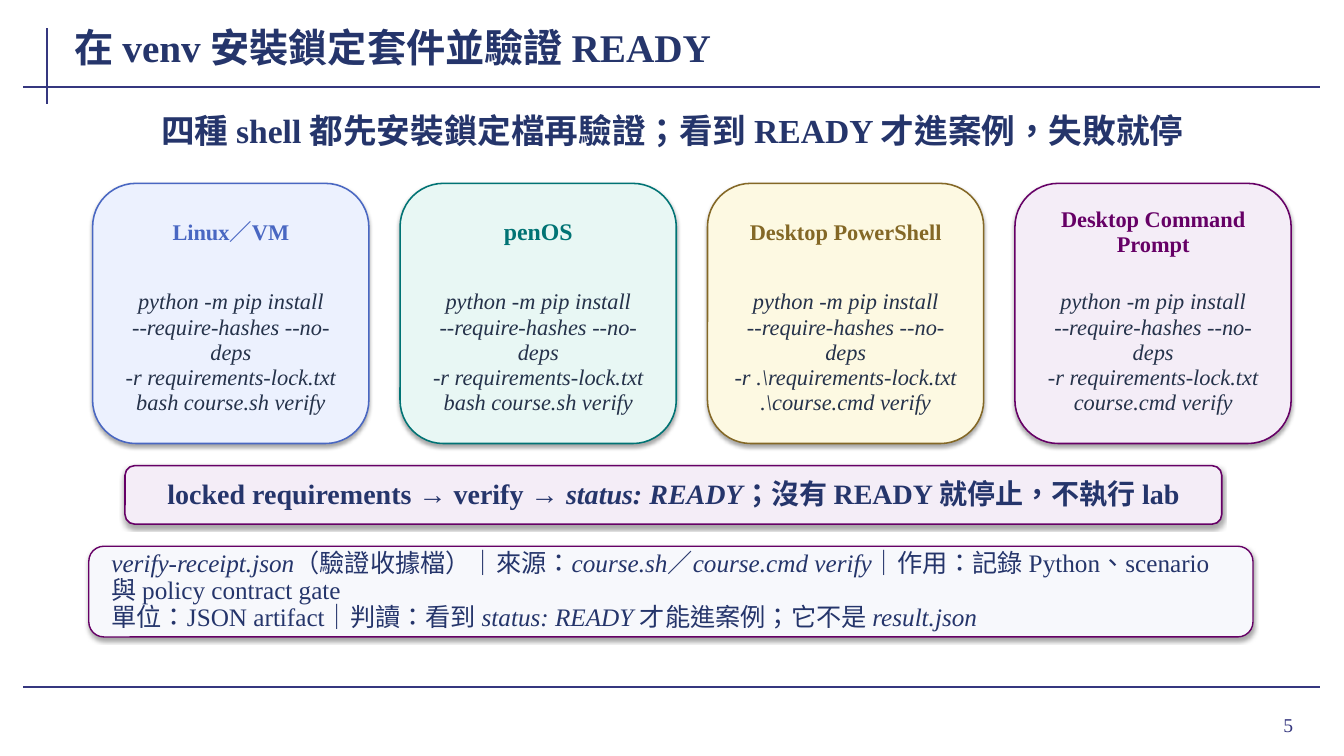
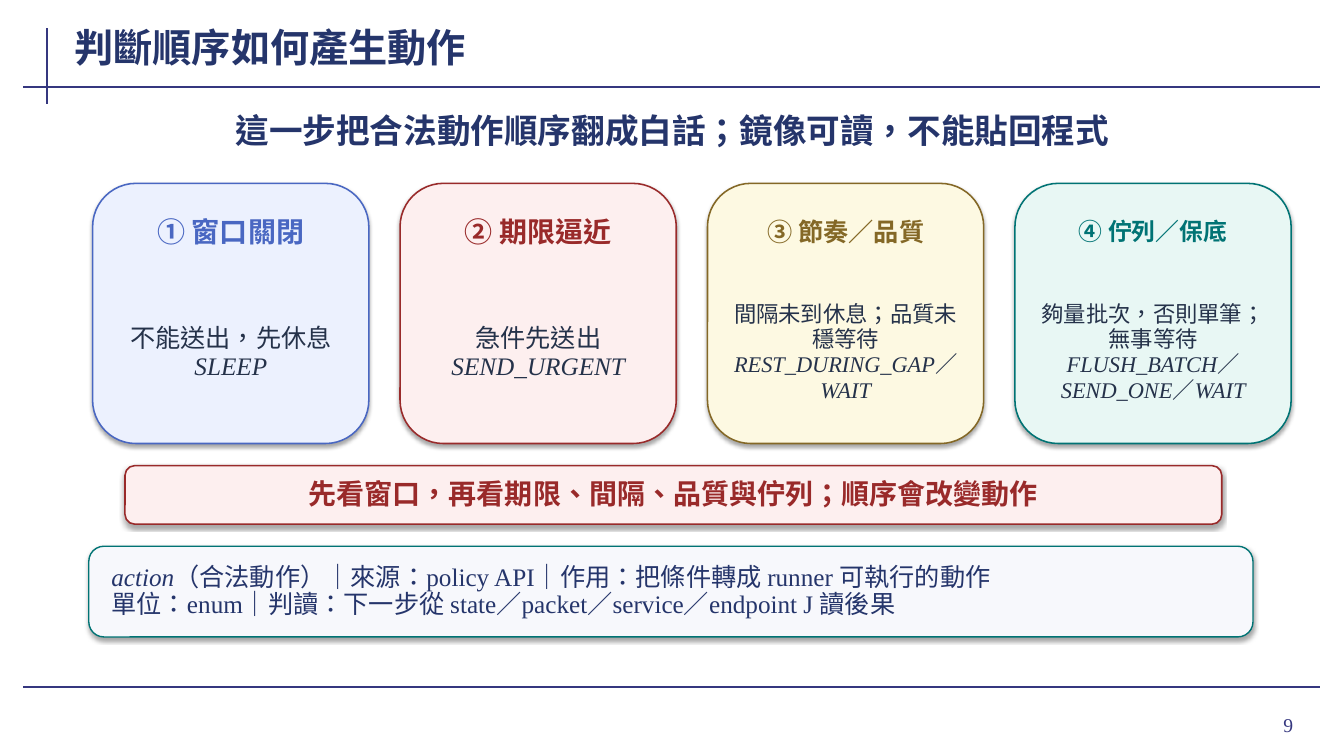
from dataclasses import dataclass
from typing import NamedTuple

from lxml.etree import SubElement
from pptx import Presentation
from pptx.dml.color import RGBColor
from pptx.enum.lang import MSO_LANGUAGE_ID
from pptx.enum.shapes import MSO_CONNECTOR, MSO_SHAPE
from pptx.enum.text import MSO_ANCHOR, PP_ALIGN
from pptx.oxml.ns import qn
from pptx.shapes.autoshape import Shape
from pptx.slide import Slide
from pptx.util import Pt


class Tone(NamedTuple):
    fill: str
    ink: str


class Box(NamedTuple):
    left: float
    top: float
    width: float
    height: float


class TextStyle(NamedTuple):
    size: float
    color: str
    bold: bool = False
    align: PP_ALIGN = PP_ALIGN.CENTER
    spacing: float = 1.0
    inset: tuple[float, float] = (0, 0)


@dataclass(frozen=True)
class Theme:
    font: str = "Times New Roman"
    navy: str = "25356B"
    rule: str = "35377F"
    body: str = "25324A"
    note_fill: str = "F7F8FC"
    blue: Tone = Tone("ECF1FE", "4967C2")
    teal: Tone = Tone("E8F7F4", "007374")
    gold: Tone = Tone("FDF9E2", "846826")
    purple: Tone = Tone("F4EDF7", "660066")
    red: Tone = Tone("FDEFEF", "992A2A")
    title_size: float = 28
    lead_size: float = 24
    summary_size: float = 20
    note_size: float = 18
    number_size: float = 14


THEME = Theme()

SLIDE_WIDTH, SLIDE_HEIGHT = 960, 540
RULES = [(33.8, 20.2, 33.8, 74.2), (16.6, 61.9, 943.2, 61.9), (16.6, 491, 943.2, 491)]
TITLE = Box(51.8, 14.4, 745.2, 38.2)
LEAD = Box(73.4, 75.6, 813.6, 37.4)
SUMMARY = Box(89.3, 332.6, 783.4, 41.8)
NOTE = Box(63.4, 390.2, 831.6, 64.8)
NUMBER = Box(861.1, 499, 69.8, 37.4)
CARD = Box(66.2, 131, 197.3, 185.8)
CARD_PITCH = 219.6
HEADING = Box(77.8, 145.4, 174.2, 41.8)
DETAIL = Box(79.2, 201.6, 171.4, 100.8)


@dataclass(frozen=True)
class Card:
    heading: str
    heading_size: float
    tone: Tone
    detail: list[str]
    detail_size: float = 16


@dataclass(frozen=True)
class Page:
    number: int
    title: str
    lead: str
    cards: list[Card]
    summary: str
    summary_tone: Tone
    summary_color: str
    note: list[str]
    note_line: str


def write(shape: Shape, lines: list[str], style: TextStyle) -> None:
    """Fill a shape with paragraphs; text between backticks is italic."""
    frame = shape.text_frame
    frame.word_wrap = True
    frame.vertical_anchor = MSO_ANCHOR.MIDDLE
    frame.margin_left = frame.margin_right = Pt(style.inset[0])
    frame.margin_top = frame.margin_bottom = Pt(style.inset[1])
    for index, line in enumerate(lines):
        paragraph = frame.add_paragraph() if index else frame.paragraphs[0]
        paragraph.alignment = style.align
        paragraph.line_spacing = style.spacing
        font = paragraph.font
        font.name = THEME.font
        font.size = Pt(style.size)
        font.bold = style.bold
        font.color.rgb = RGBColor.from_string(style.color)
        font.language_id = MSO_LANGUAGE_ID.TRADITIONAL_CHINESE
        spans = [(text, i % 2 == 1) for i, text in enumerate(line.split("`")) if text]
        mixed = len({italic for _, italic in spans}) > 1
        for text, italic in spans:
            run = paragraph.add_run()
            run.text = text
            (run.font if mixed else font).italic = italic


def add_text(slide: Slide, box: Box, lines: list[str], style: TextStyle) -> None:
    write(slide.shapes.add_textbox(*map(Pt, box)), lines, style)


def add_shadow(shape: Shape) -> None:
    shape.shadow.inherit = False
    effects = shape._element.spPr.find(qn("a:effectLst"))
    shadow = SubElement(effects, qn("a:outerShdw"), blurRad=str(Pt(3.1)),
                        dist=str(Pt(1.8)), dir="5400000", rotWithShape="0")
    black = SubElement(shadow, qn("a:srgbClr"), val="000000")
    SubElement(black, qn("a:alpha"), val="35000")


def add_panel(slide: Slide, box: Box, tone: Tone, line_width: float = 1.1) -> Shape:
    panel = slide.shapes.add_shape(MSO_SHAPE.ROUNDED_RECTANGLE, *map(Pt, box))
    panel.fill.solid()
    panel.fill.fore_color.rgb = RGBColor.from_string(tone.fill)
    panel.line.color.rgb = RGBColor.from_string(tone.ink)
    panel.line.width = Pt(line_width)
    add_shadow(panel)
    return panel


def add_frame(slide: Slide, page: Page) -> None:
    """Draw the rules, page number, title and lead sentence."""
    for ends in RULES:
        rule = slide.shapes.add_connector(MSO_CONNECTOR.STRAIGHT, *map(Pt, ends))
        rule.line.color.rgb = RGBColor.from_string(THEME.rule)
        rule.line.width = Pt(1.5)
        SubElement(rule._element.spPr, qn("a:effectLst"))
    add_text(slide, NUMBER, [str(page.number)],
             TextStyle(THEME.number_size, THEME.rule, align=PP_ALIGN.RIGHT, inset=(7.2, 3.6)))
    add_text(slide, TITLE, [page.title],
             TextStyle(THEME.title_size, THEME.navy, True, PP_ALIGN.LEFT, inset=(1.4, 0)))
    add_text(slide, LEAD, [page.lead],
             TextStyle(THEME.lead_size, THEME.navy, True, spacing=0.96, inset=(1.4, 0)))


def add_card(slide: Slide, card: Card, column: int) -> None:
    frame, heading, detail = (box._replace(left=box.left + column * CARD_PITCH)
                              for box in (CARD, HEADING, DETAIL))
    add_panel(slide, frame, card.tone)
    add_text(slide, heading, [card.heading],
             TextStyle(card.heading_size, card.tone.ink, True, spacing=0.92, inset=(2.2, 0.7)))
    add_text(slide, detail, card.detail,
             TextStyle(card.detail_size, THEME.body, spacing=0.94, inset=(3.6, 0.7)))


def add_page(deck: Presentation, page: Page) -> None:
    slide = deck.slides.add_slide(deck.slide_layouts[6])
    add_frame(slide, page)
    for column, card in enumerate(page.cards):
        add_card(slide, card, column)
    write(add_panel(slide, SUMMARY, page.summary_tone), [page.summary],
          TextStyle(THEME.summary_size, page.summary_color, True, spacing=0.95, inset=(8.6, 2.9)))
    write(add_panel(slide, NOTE, Tone(THEME.note_fill, page.note_line), 1), page.note,
          TextStyle(THEME.note_size, THEME.navy, align=PP_ALIGN.LEFT, spacing=0.9,
                    inset=(13, 2.2)))


def install_steps(verify: str, lock_file: str = "requirements-lock.txt") -> list[str]:
    return ["`python -m pip install`", "`--require-hashes --no-deps`",
            f"`-r {lock_file}`", f"`{verify} verify`"]


PAGES = [
    Page(
        number=5,
        title="在 venv 安裝鎖定套件並驗證 READY",
        lead="四種 shell 都先安裝鎖定檔再驗證；看到 READY 才進案例，失敗就停",
        cards=[
            Card("Linux／VM", 16, THEME.blue, install_steps("bash course.sh")),
            Card("penOS", 17, THEME.teal, install_steps("bash course.sh")),
            Card("Desktop PowerShell", 16, THEME.gold,
                 install_steps(r".\course.cmd", r".\requirements-lock.txt")),
            Card("Desktop Command Prompt", 16, THEME.purple, install_steps("course.cmd")),
        ],
        summary="locked requirements → verify → `status: READY`；沒有 READY 就停止，不執行 lab",
        summary_tone=THEME.purple,
        summary_color=THEME.navy,
        note=[
            "`verify-receipt.json`（驗證收據檔）｜來源：`course.sh`／`course.cmd verify`"
            "｜作用：記錄 Python、scenario 與 policy contract gate",
            "單位：JSON artifact｜判讀：看到 `status: READY` 才能進案例；它不是 `result.json`",
        ],
        note_line=THEME.purple.ink,
    ),
    Page(
        number=9,
        title="判斷順序如何產生動作",
        lead="這一步把合法動作順序翻成白話；鏡像可讀，不能貼回程式",
        cards=[
            Card("① 窗口關閉", 20, THEME.blue, ["不能送出，先休息", "`SLEEP`"], 18),
            Card("② 期限逼近", 20, THEME.red, ["急件先送出", "`SEND_URGENT`"], 18),
            Card("③ 節奏／品質", 18, THEME.gold,
                 ["間隔未到休息；品質未穩等待", "`REST_DURING_GAP`／`WAIT`"]),
            Card("④ 佇列／保底", 17, THEME.teal,
                 ["夠量批次，否則單筆；無事等待", "`FLUSH_BATCH`／`SEND_ONE`／`WAIT`"]),
        ],
        summary="先看窗口，再看期限、間隔、品質與佇列；順序會改變動作",
        summary_tone=THEME.red,
        summary_color=THEME.red.ink,
        note=[
            "`action`（合法動作）｜來源：policy API｜作用：把條件轉成 runner 可執行的動作",
            "單位：enum｜判讀：下一步從 state／packet／service／endpoint J 讀後果",
        ],
        note_line=THEME.teal.ink,
    ),
]


def main() -> None:
    deck = Presentation()
    deck.slide_width, deck.slide_height = Pt(SLIDE_WIDTH), Pt(SLIDE_HEIGHT)
    for page in PAGES:
        add_page(deck, page)
    deck.save("out.pptx")


if __name__ == "__main__":
    main()
